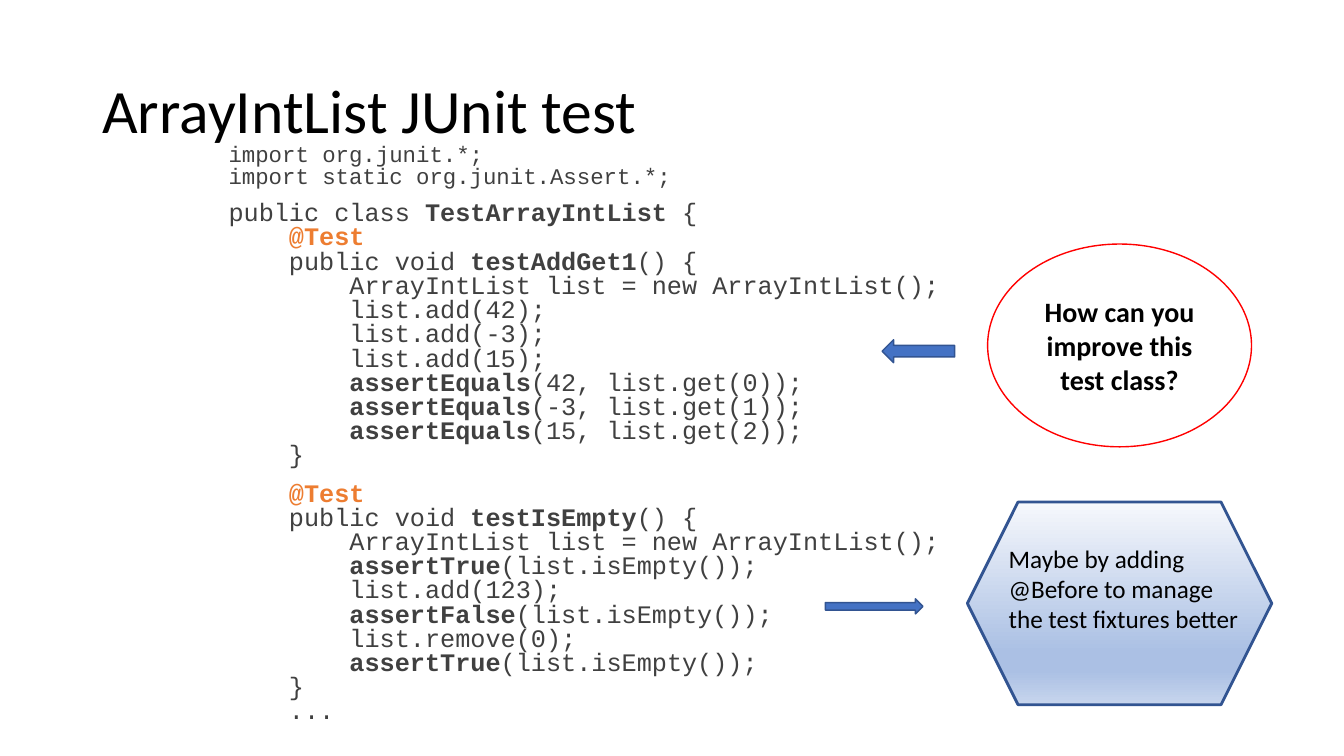
"""Build the slide showing a JUnit test class with a question and a suggested answer."""
from copy import deepcopy
from dataclasses import dataclass

from pptx import Presentation
from pptx import util as u
from pptx.dml.color import RGBColor
from pptx.enum import shapes, text
from pptx.oxml.ns import qn


@dataclass
class Theme:
    body: str = "Calibri"
    mono: str = "Courier New"
    black: str = "000000"
    code: str = "404040"
    annotation: str = "ED7D31"
    arrow: str = "4472C4"
    outline: str = "325491"
    question: str = "FF0000"
    gradient: tuple = ((0, "F6F8FC"), (0.74, "ABC0E4"), (0.83, "ABC0E4"), (1, "C7D5ED"))
    title_size: int = 44
    question_size: int = 20
    answer_size: int = 18
    import_size: int = 16
    code_size: int = 18


theme = Theme()


def style(run, font, size, color, bold=False):
    run.font.name = font
    run.font.size = u.Pt(size)
    run.font.color.rgb = RGBColor.from_string(color)
    run.font.bold = bold


def add_outlined(kind, box, color, width):
    shape = slide.shapes.add_shape(kind, *map(u.Cm, box))
    shape.shadow.inherit = False
    shape.line.color.rgb = RGBColor.from_string(color)
    shape.line.width = u.Pt(width)
    return shape


prs = Presentation()
prs.slide_width, prs.slide_height = u.Cm(33.87), u.Cm(19.05)
slide = prs.slides.add_slide(prs.slide_layouts[6])

title = slide.shapes.add_textbox(u.Cm(2.33), u.Cm(1.01), u.Cm(29.21), u.Cm(3.68)).text_frame
title.word_wrap = True
title.vertical_anchor = text.MSO_ANCHOR.MIDDLE
title.text = "ArrayIntList JUnit test"
title.paragraphs[0].line_spacing = 0.9
style(title.paragraphs[0].runs[0], theme.body, theme.title_size, theme.black)

imports = ["import org.junit.*;", "import static org.junit.Assert.*;"]
test_class = [
    (0, "public class |TestArrayIntList| {"),
    (1, "@Test"),
    (1, "public void |testAddGet1|() {"),
    (2, "ArrayIntList list = new ArrayIntList();"),
    (2, "list.add(42);"),
    (2, "list.add(-3);"),
    (2, "list.add(15);"),
    (2, "|assertEquals|(42, list.get(0));"),
    (2, "|assertEquals|(-3, list.get(1));"),
    (2, "|assertEquals|(15, list.get(2));"),
    (1, "}"),
    (1, "@Test"),
    (1, "public void |testIsEmpty|() {"),
    (2, "ArrayIntList list = new ArrayIntList();"),
    (2, "|assertTrue|(list.isEmpty());"),
    (2, "list.add(123);"),
    (2, "|assertFalse|(list.isEmpty());"),
    (2, "list.remove(0);"),
    (2, "|assertTrue|(list.isEmpty());"),
    (1, "}"),
    (1, "..."),
]
lines = [(0, line, theme.import_size, 15.7) for line in imports]
lines += [(level, line, theme.code_size, 17.3) for level, line in test_class]

code = slide.shapes.add_textbox(u.Cm(4.24), u.Cm(3.52), u.Cm(25.4), u.Cm(15.44)).text_frame
code.word_wrap = True
previous = ""
for number, (level, line, size, pitch) in enumerate(lines):
    row = code.paragraphs[0] if number == 0 else code.add_paragraph()
    row.line_spacing = u.Pt(pitch)
    starts_block = line.startswith("public class") or previous == "}" and line == "@Test"
    row.space_before = u.Pt(10 if starts_block else 0)
    row._p.get_or_add_pPr().set("marL", str(u.Cm(1.27 + 1.524 * level)))
    for position, part in enumerate(line.split("|")):
        if part:
            run = row.add_run()
            run.text = part
            annotated = part == "@Test"
            color = theme.annotation if annotated else theme.code
            style(run, theme.mono, size, color, annotated or position % 2 == 1)
    previous = line

question = add_outlined(shapes.MSO_SHAPE.OVAL, (24.89, 6.15, 6.65, 5.11), theme.question, 1)
question.fill.background()
question.text_frame.text = "How can you improve this test class?"
question.text_frame.word_wrap = True
question.text_frame.vertical_anchor = text.MSO_ANCHOR.MIDDLE
question.text_frame.paragraphs[0].alignment = text.PP_ALIGN.CENTER
style(question.text_frame.paragraphs[0].runs[0], theme.body, theme.question_size, theme.black, True)

for direction, box in (
    (shapes.MSO_SHAPE.LEFT_ARROW, (22.23, 8.56, 1.83, 0.58)),
    (shapes.MSO_SHAPE.RIGHT_ARROW, (20.8, 15.09, 2.46, 0.38)),
):
    arrow = add_outlined(direction, box, theme.outline, 1)
    arrow.fill.solid()
    arrow.fill.fore_color.rgb = RGBColor.from_string(theme.arrow)

hexagon = add_outlined(shapes.MSO_SHAPE.HEXAGON, (24.38, 12.65, 7.67, 5.11), theme.outline, 2)
hexagon.fill.gradient()
hexagon.fill.gradient_angle = 270
stop_list = hexagon._element.spPr.find(".//" + qn("a:gsLst"))
for _ in range(len(theme.gradient) - len(stop_list)):
    stop_list.append(deepcopy(stop_list[0]))
for stop, (position, color) in zip(hexagon.fill.gradient_stops, theme.gradient):
    stop.position = position
    stop.color.rgb = RGBColor.from_string(color)

answer = slide.shapes.add_textbox(u.Cm(25.17), u.Cm(13.56), u.Cm(6.38), u.Cm(3.33)).text_frame
answer.word_wrap = False
answer.text = "Maybe by adding\n@Before to manage\nthe test fixtures better"
for row in answer.paragraphs:
    style(row.runs[0], theme.body, theme.answer_size, theme.black)

prs.save("out.pptx")
